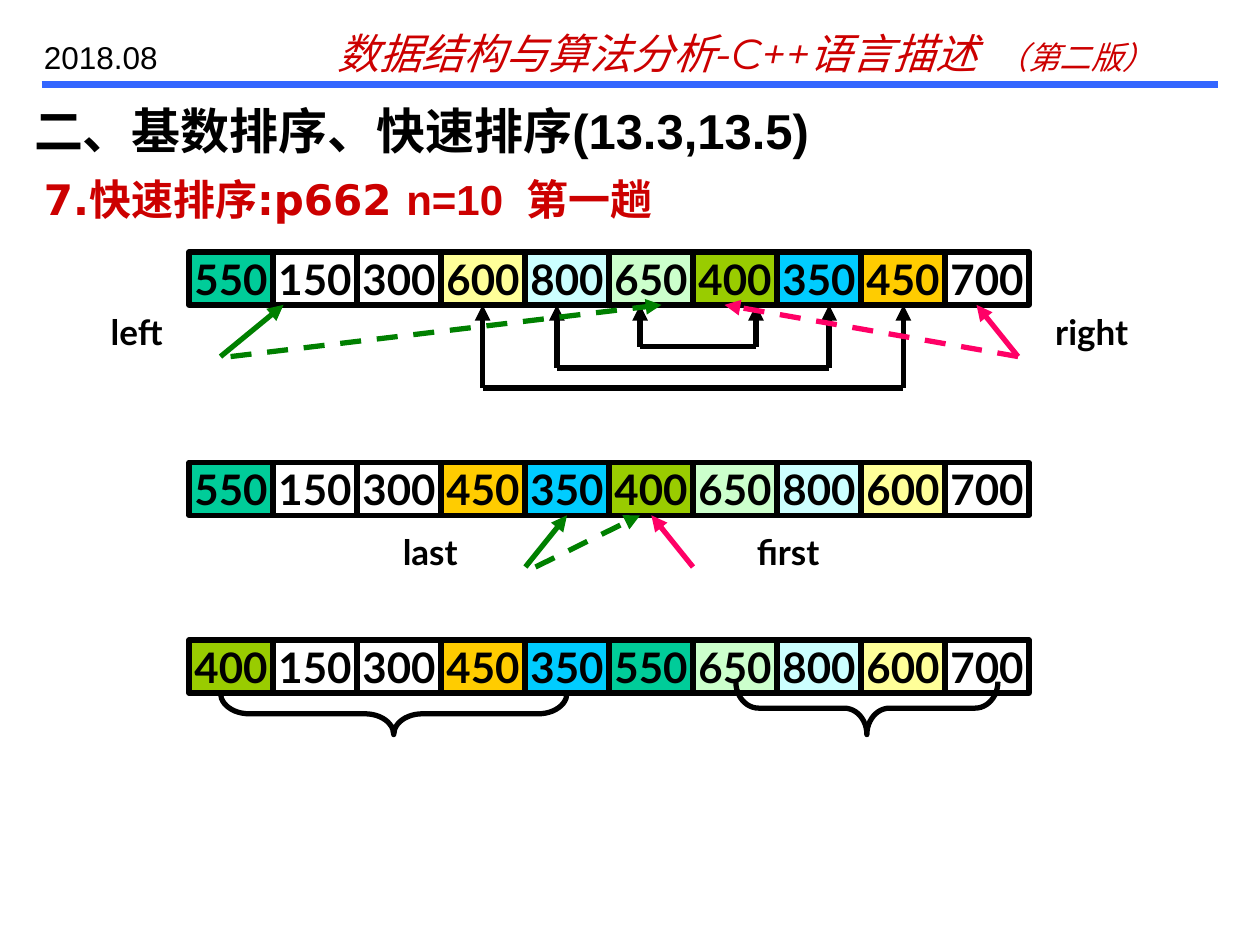
from pptx import Presentation
from pptx.dml.color import RGBColor
from pptx.enum.dml import MSO_LINE
from pptx.enum.shapes import MSO_CONNECTOR, MSO_SHAPE as Shape
from pptx.enum.text import MSO_ANCHOR as Anchor, PP_ALIGN as Align
from pptx.oxml.ns import qn
from pptx.util import Inches, Pt
from lxml.etree import SubElement

BLACK = RGBColor(0x00, 0x00, 0x00)
RED = RGBColor(0xCC, 0x00, 0x00)
BLUE = RGBColor(0x33, 0x66, 0xFF)
GREEN = RGBColor(0x00, 0x80, 0x00)
PINK = RGBColor(0xFF, 0x00, 0x66)
KEY_FILLS = {
    350: RGBColor(0x00, 0xCC, 0xFF),
    400: RGBColor(0x99, 0xCC, 0x00),
    450: RGBColor(0xFF, 0xCC, 0x00),
    550: RGBColor(0x00, 0xCC, 0x99),
    600: RGBColor(0xFF, 0xFF, 0x99),
    650: RGBColor(0xCC, 0xFF, 0xCC),
    800: RGBColor(0xCC, 0xFF, 0xFF),
}

ROW_LEFT, CELL_WIDTH, CELL_HEIGHT = 1.5, 2 / 3, 0.42
LABEL_WIDTH = 1.17
START_TOP, SWAPPED_TOP, SPLIT_TOP = 2, 3.67, 5.08
ROWS = {
    START_TOP: (550, 150, 300, 600, 800, 650, 400, 350, 450, 700),
    SWAPPED_TOP: (550, 150, 300, 450, 350, 400, 650, 800, 600, 700),
    SPLIT_TOP: (400, 150, 300, 450, 350, 550, 650, 800, 600, 700),
}
# left x, right x, y of each bracket that joins two swapped keys
SWAPS = ((5.08, 6, 2.75), (4.42, 6.58, 2.92), (3.83, 7.17, 3.08))
# row top, tail x, tip x, colour, dashed
POINTERS = (
    (START_TOP, 1.75, 2.25, GREEN, False),
    (START_TOP, 8.08, 7.75, PINK, False),
    (START_TOP, 1.83, 5.25, GREEN, True),
    (START_TOP, 8.08, 5.75, PINK, True),
    (SWAPPED_TOP, 5.5, 5.17, PINK, False),
    (SWAPPED_TOP, 4.17, 4.5, GREEN, False),
    (SWAPPED_TOP, 4.25, 5.08, GREEN, True),
)
LABELS = (("left", 0.5, 2.42), ("right", 8.08, 2.42),
          ("last", 2.83, 4.17), ("first", 5.67, 4.17))
# box before rotation, relative corner radius
BRACES = (((2.96, 4.29, 0.33, 2.75), 0.69), ((6.67, 4.58, 0.42, 2.08), 0.43))

HEADER = {"name": "Montserrat", "size": Pt(24), "italic": True}
EDITION = {**HEADER, "size": Pt(18)}
DATE = {"name": "Arial", "size": Pt(18)}
TITLE = {"name": "Arial", "size": Pt(28), "bold": True}
TOPIC = {"name": "DejaVu Sans", "size": Pt(24), "bold": True}
TOPIC_DETAIL = {**TOPIC, "name": "Arial"}
KEY = {"name": "Lato", "size": Pt(24), "bold": True}
LABEL = {**KEY, "size": Pt(20)}


def write(shape, runs, color=BLACK, align=Align.LEFT, anchor=Anchor.TOP, wrap=True):
    """Fill the shape with one paragraph of (text, font format) runs."""
    frame = shape.text_frame
    frame.word_wrap = wrap
    frame.vertical_anchor = anchor
    paragraph = frame.paragraphs[0]
    paragraph.alignment = align
    for text, font_format in runs:
        run = paragraph.add_run()
        run.text = text
        for attribute, value in font_format.items():
            setattr(run.font, attribute, value)
        run.font.color.rgb = color


def add_text(slide, box, runs, **layout):
    write(slide.shapes.add_textbox(*map(Inches, box)), runs, **layout)


def add_title(slide, text):
    title = slide.shapes.title
    title.left, title.top, title.width, title.height = map(
        Inches, (0.17, 0.75, 9.58, 0.5))
    write(title, [(text, TITLE)])


def add_line(slide, start, end, color=BLACK, width=3, dashed=False, arrow=False):
    line = slide.shapes.add_connector(
        MSO_CONNECTOR.STRAIGHT, *map(Inches, (*start, *end)))
    line.line.color.rgb = color
    line.line.width = Pt(width)
    if dashed:
        line.line.dash_style = MSO_LINE.DASH
    properties = line._element.spPr
    if arrow:
        SubElement(properties.find(qn("a:ln")), qn("a:tailEnd"), type="triangle")
    SubElement(properties, qn("a:effectLst"))


def add_outline(slide, preset, box):
    """Add an unfilled shape with a black outline."""
    shape = slide.shapes.add_shape(preset, *map(Inches, box))
    shape.shadow.inherit = False
    shape.fill.background()
    shape.line.color.rgb = BLACK
    shape.line.width = Pt(3)
    return shape


def add_key_row(slide, top, keys):
    for column, key in enumerate(keys):
        left = ROW_LEFT + column * CELL_WIDTH
        cell = add_outline(slide, Shape.RECTANGLE, (left, top, CELL_WIDTH, CELL_HEIGHT))
        if key in KEY_FILLS:
            cell.fill.solid()
            cell.fill.fore_color.rgb = KEY_FILLS[key]
        write(cell, [(str(key), KEY)], align=Align.CENTER,
              anchor=Anchor.MIDDLE, wrap=False)


def add_swap(slide, left, right, y):
    add_line(slide, (left, y), (right, y))
    for x in (left, right):
        add_line(slide, (x, y), (x, START_TOP + CELL_HEIGHT), arrow=True)


def add_pointer(slide, row_top, tail_x, tip_x, color, dashed):
    tip_y = row_top + CELL_HEIGHT
    add_line(slide, (tail_x, tip_y + 0.41), (tip_x, tip_y), color,
             dashed=dashed, arrow=True)


def add_brace(slide, box, radius):
    brace = add_outline(slide, Shape.LEFT_BRACE, box)
    brace.adjustments[0] = radius
    brace.rotation = 270


def main():
    deck = Presentation()
    deck.slide_width, deck.slide_height = Inches(10), Inches(7.5)
    slide = deck.slides.add_slide(deck.slide_layouts[5])

    add_line(slide, (0.33, 0.67), (9.67, 0.67), BLUE, width=4)
    add_text(slide, (2.58, 0.17, 7, 0.5),
             [("数据结构与算法分析-C++语言描述  ", HEADER), ("（第二版）", EDITION)], color=RED)
    add_text(slide, (0.25, 0.25, 1.42, 0.4), [("2018.08", DATE)])
    add_title(slide, "二、基数排序、快速排序(13.3,13.5)")
    add_text(slide, (0.25, 1.33, 9.58, 0.5),
             [("7.快速排序:p662 ", TOPIC), ("n=10  第一趟", TOPIC_DETAIL)], color=RED)

    for top, keys in ROWS.items():
        add_key_row(slide, top, keys)
    for swap in SWAPS:
        add_swap(slide, *swap)
    for pointer in POINTERS:
        add_pointer(slide, *pointer)
    for text, left, top in LABELS:
        add_text(slide, (left, top, LABEL_WIDTH, CELL_HEIGHT), [(text, LABEL)],
                 align=Align.CENTER, anchor=Anchor.MIDDLE, wrap=False)
    for brace in BRACES:
        add_brace(slide, *brace)
    deck.save("out.pptx")


if __name__ == "__main__":
    main()
